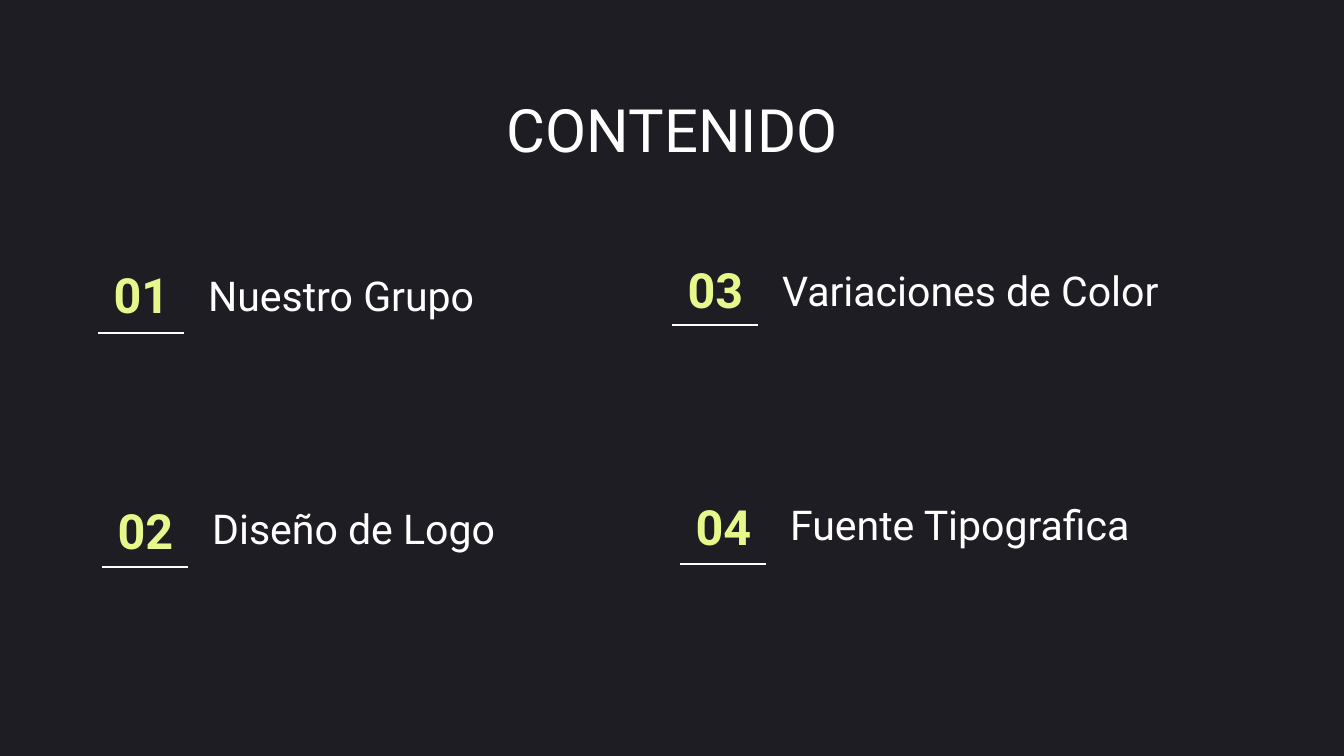
from lxml import etree
from pptx import Presentation
from pptx import util as u
from pptx.dml.color import RGBColor
from pptx.enum import shapes, text
from pptx.oxml.ns import qn

# Content: number, label, number left and top, label top, rule height on the slide
TITLE = "CONTENIDO"
ENTRIES = [
    ("01", "Nuestro Grupo", 87, 271, 262, 333),
    ("02", "Diseño de Logo", 91, 507, 495, 567),
    ("03", "Variaciones de Color", 661, 266, 257, 325),
    ("04", "Fuente Tipografica", 669, 503, 491, 564),
]
COLORS = {"background": "1E1D24", "accent": "E6F88B", "white": "FFFFFF"}
FONT = "Roboto"

# Layout in px
PX = 914400 / 134.4
SLIDE_SIZE = (1344, 756)
TITLE_BOX = (106, 79, 1133, 71)
NUMBER_SIZE = (109, 47)
LABEL_SIZE = (469, 71)
LABEL_OFFSET = 108
RULE_OFFSET, RULE_LENGTH = 11, 86
INSET = u.Inches(0.1)


def emu(*lengths):
    return [round(length * PX) for length in lengths]


def color(name):
    return RGBColor.from_string(COLORS[name])


def add_text(slide, words, box, size, color_name, anchor, align, bold=False):
    shape = slide.shapes.add_textbox(*emu(*box))
    frame = shape.text_frame
    frame.word_wrap = True
    frame.vertical_anchor = anchor
    frame.margin_left = frame.margin_right = INSET
    frame.margin_top = frame.margin_bottom = INSET
    paragraph = frame.paragraphs[0]
    paragraph.text = words
    paragraph.alignment = align
    font = paragraph.font
    font.name, font.size, font.bold = FONT, u.Pt(size), bold
    font.color.rgb = color(color_name)


def add_rule(slide, left, y):
    rule = slide.shapes.add_connector(
        shapes.MSO_CONNECTOR.STRAIGHT, *emu(left, y, left + RULE_LENGTH, y))
    rule.line.color.rgb = color("white")
    rule.line.width = u.Pt(0.75)
    etree.SubElement(rule._element.spPr, qn("a:effectLst"))


presentation = Presentation()
presentation.slide_width, presentation.slide_height = emu(*SLIDE_SIZE)
slide = presentation.slides.add_slide(presentation.slide_layouts[6])
slide.background.fill.solid()
slide.background.fill.fore_color.rgb = color("background")

anchors, aligns = text.MSO_ANCHOR, text.PP_ALIGN

# Title
add_text(slide, TITLE, TITLE_BOX, 32, "white", anchors.TOP, aligns.CENTER)

# Numbered entries, each with a rule under its number
for number, label, left, top, label_top, rule_y in ENTRIES:
    add_text(slide, number, (left, top, *NUMBER_SIZE), 26, "accent",
             anchors.MIDDLE, aligns.CENTER, bold=True)
    add_text(slide, label, (left + LABEL_OFFSET, label_top, *LABEL_SIZE), 22,
             "white", anchors.BOTTOM, aligns.LEFT)
    add_rule(slide, left + RULE_OFFSET, rule_y)

presentation.save("out.pptx")
